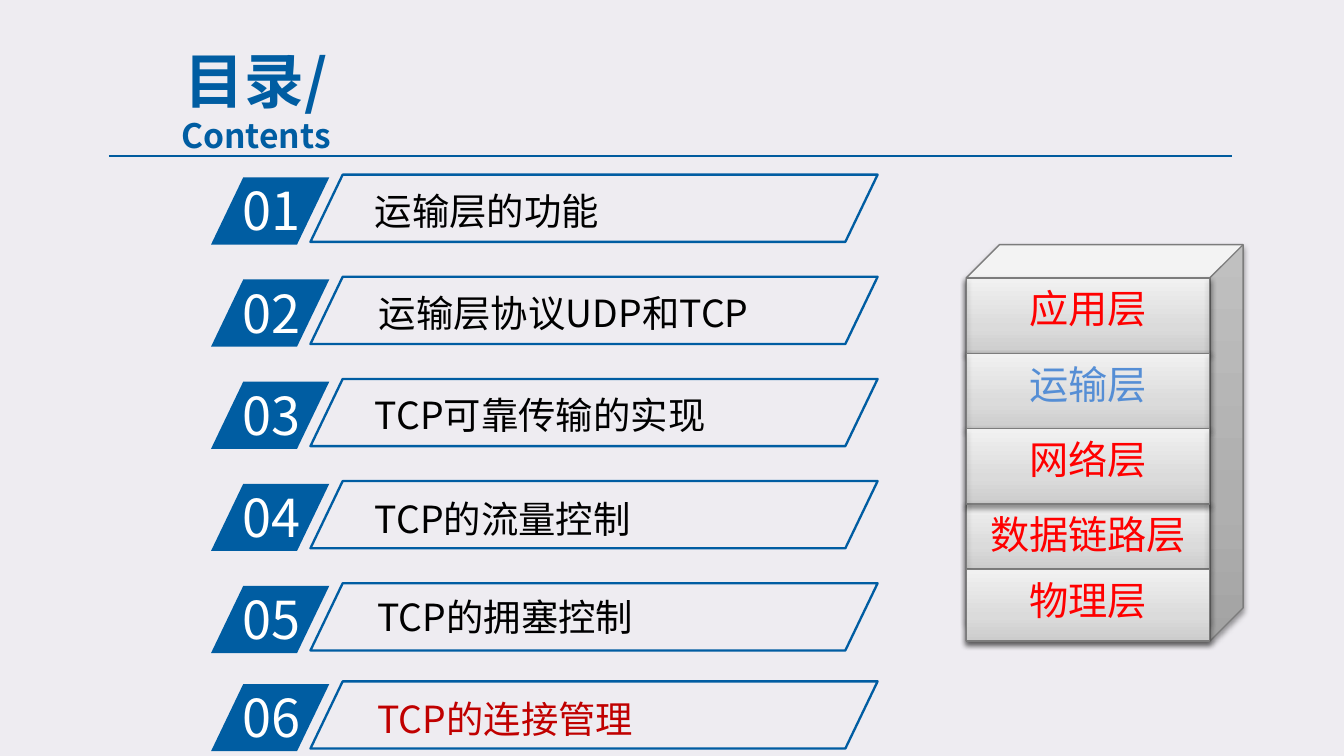
import pptx
import pptx.util
import pptx.dml.color
import pptx.enum.shapes
import pptx.enum.text
import pptx.oxml
from lxml import etree
from pptx.oxml.ns import nsdecls, qn

Inches = pptx.util.Inches
Pt = pptx.util.Pt
Shape = pptx.enum.shapes.MSO_SHAPE
Align = pptx.enum.text.PP_ALIGN
Anchor = pptx.enum.text.MSO_ANCHOR
Fit = pptx.enum.text.MSO_AUTO_SIZE

BLUE, RED, GREY = "005DA2", "FF0000", "7C7C7C"
FONT = "Noto Sans CJK SC"


def color(text):
    return pptx.dml.color.RGBColor.from_string(text)


def shade(props):
    """Give shape properties a soft shadow that falls straight down."""
    effects = props.find(qn("a:effectLst"))
    if effects is None:
        effects = etree.SubElement(props, qn("a:effectLst"))
    effects.append(pptx.oxml.parse_xml(
        f'<a:outerShdw {nsdecls("a")} blurRad="{Pt(3.1)}" dist="{Pt(1.6)}" '
        'dir="5400000" rotWithShape="0"><a:srgbClr val="000000">'
        '<a:alpha val="38000"/></a:srgbClr></a:outerShdw>'))


class Deck:
    def __init__(self, width):
        """Start a 16:9 deck with one slide."""
        self.show = pptx.Presentation()
        self.show.slide_width = Inches(width)
        self.show.slide_height = Inches(width * 9 / 16)
        self.slide = self.show.slides.add_slide(self.show.slide_layouts[5])
        fill = self.slide.background.fill
        fill.solid()
        fill.fore_color.rgb = color("EEECF1")

    def style(self, para, size, tint, bold=False, align=Align.LEFT):
        para.alignment = align
        font = para.font
        font.size, font.bold, font.name = Pt(size), bold, FONT
        font.color.rgb = color(tint)
        east = etree.SubElement(para._p.pPr.find(qn("a:defRPr")), qn("a:ea"))
        east.set("typeface", FONT)

    def title(self, box, head, sub):
        shape = self.slide.shapes.title
        shape.left, shape.top, shape.width, shape.height = map(Inches, box)
        frame = shape.text_frame
        frame.vertical_anchor = Anchor.MIDDLE
        frame.auto_size = Fit.NONE
        para = frame.paragraphs[0]
        self.style(para, 32, BLUE, True, Align.CENTER)
        para.add_run().text = head
        para.add_line_break()
        run = para.add_run()
        run.text = sub
        run.font.size = Pt(18)

    def text(self, box, words, size, tint):
        shape = self.slide.shapes.add_textbox(*map(Inches, box))
        frame = shape.text_frame
        frame.word_wrap = True
        frame.auto_size = Fit.SHAPE_TO_FIT_TEXT
        frame.text = words
        self.style(frame.paragraphs[0], size, tint)

    def shape(self, kind, box, slant=None):
        shape = self.slide.shapes.add_shape(kind, *map(Inches, box))
        shape.shadow.inherit = False
        if slant is not None:
            shape.adjustments[0] = slant
        return shape

    def tile(self, box):
        shape = self.shape(Shape.PARALLELOGRAM, box, 0.48)
        shape.fill.solid()
        shape.fill.fore_color.rgb = color(BLUE)
        shape.line.fill.background()

    def frame(self, box):
        shape = self.shape(Shape.PARALLELOGRAM, box, 0.48)
        shape.fill.background()
        shape.line.color.rgb = color(BLUE)
        shape.line.width = Pt(1.25)

    def block(self, kind, box, slant=None):
        """Add a shaded grey solid, dark at the foot and light at the top."""
        shape = self.shape(kind, box, slant)
        stops = "".join(
            f'<a:gs pos="{spot}000"><a:srgbClr val="{tint}"/></a:gs>'
            for spot, tint in ((0, "CCCCCC"), (35, "DBDBDB"), (100, "F1F1F1")))
        props = shape._element.spPr
        props.find(qn("a:prstGeom")).addnext(pptx.oxml.parse_xml(
            f'<a:gradFill {nsdecls("a")} rotWithShape="1"><a:gsLst>{stops}'
            '</a:gsLst><a:lin ang="16200000" scaled="0"/></a:gradFill>'))
        shape.line.color.rgb = color(GREY)
        shape.line.width = Pt(0.75)
        shade(props)
        return shape

    def layer(self, box, words, tint):
        frame = self.block(Shape.RECTANGLE, box).text_frame
        frame.vertical_anchor = Anchor.TOP
        frame.text = words
        self.style(frame.paragraphs[0], 21, tint, align=Align.CENTER)

    def line(self, ends, tint, shadow=False):
        line = self.slide.shapes.add_connector(
            pptx.enum.shapes.MSO_CONNECTOR.STRAIGHT, *map(Inches, ends))
        line.line.color.rgb = color(tint)
        line.line.width = Pt(0.75)
        props = line._element.spPr
        if shadow:
            shade(props)
        else:
            etree.SubElement(props, qn("a:effectLst"))


def main():
    deck = Deck(10)
    deck.title((0.67, 0.47, 2.47, 0.54), "目录/", "Contents")
    deck.line((0.81, 1.16, 9.17, 1.16), "005B9E")

    # Words, left, top of the words and top of the tile
    topics = [("运输层的功能", 2.69, 1.35, 1.32),
              ("运输层协议UDP和TCP", 2.72, 2.11, 2.08),
              ("TCP可靠传输的实现", 2.69, 2.87, 2.84),
              ("TCP的流量控制", 2.69, 3.64, 3.6),
              ("TCP的拥塞控制", 2.71, 4.37, 4.36),
              ("TCP的连接管理", 2.71, 5.13, 5.09)]
    for num, (words, left, high, top) in enumerate(topics, 1):
        deck.tile((1.57, top, 0.88, 0.5))
        deck.text((1.71, top - 0.04, 0.84, 0.57), f"{num:02}", 28, "FFFFFF")
        deck.frame((2.31, top - 0.02, 4.22, 0.5))
        tint = "C00000" if num == len(topics) else "000000"
        deck.text((left, high, 3.61, 0.44), words, 20, tint)

    left, width = 7.19, 1.81
    right = left + width
    deck.block(Shape.CUBE, (left, 1.82, 2.06, 2.95), 0.12)
    # The network layer lies over the data link layer.
    # Words, colour, top, height and foot of the edge lines
    layers = [("应用层", RED, 2.07, 0.56, 2.63),
              ("运输层", "558ED5", 2.63, 0.56, 3.19),
              ("数据链路层", RED, 3.75, 0.48, 4.63),
              ("网络层", RED, 3.19, 0.56, 3.75),
              ("物理层", RED, 4.24, 0.53, None)]
    for words, tint, top, height, foot in layers:
        deck.layer((left, top, width, height), words, tint)
        if foot:
            deck.line((left, foot, right, foot), GREY, True)
            for side in (left, right):
                deck.line((side, top, side, foot), GREY, True)

    deck.show.save("out.pptx")


if __name__ == "__main__":
    main()
